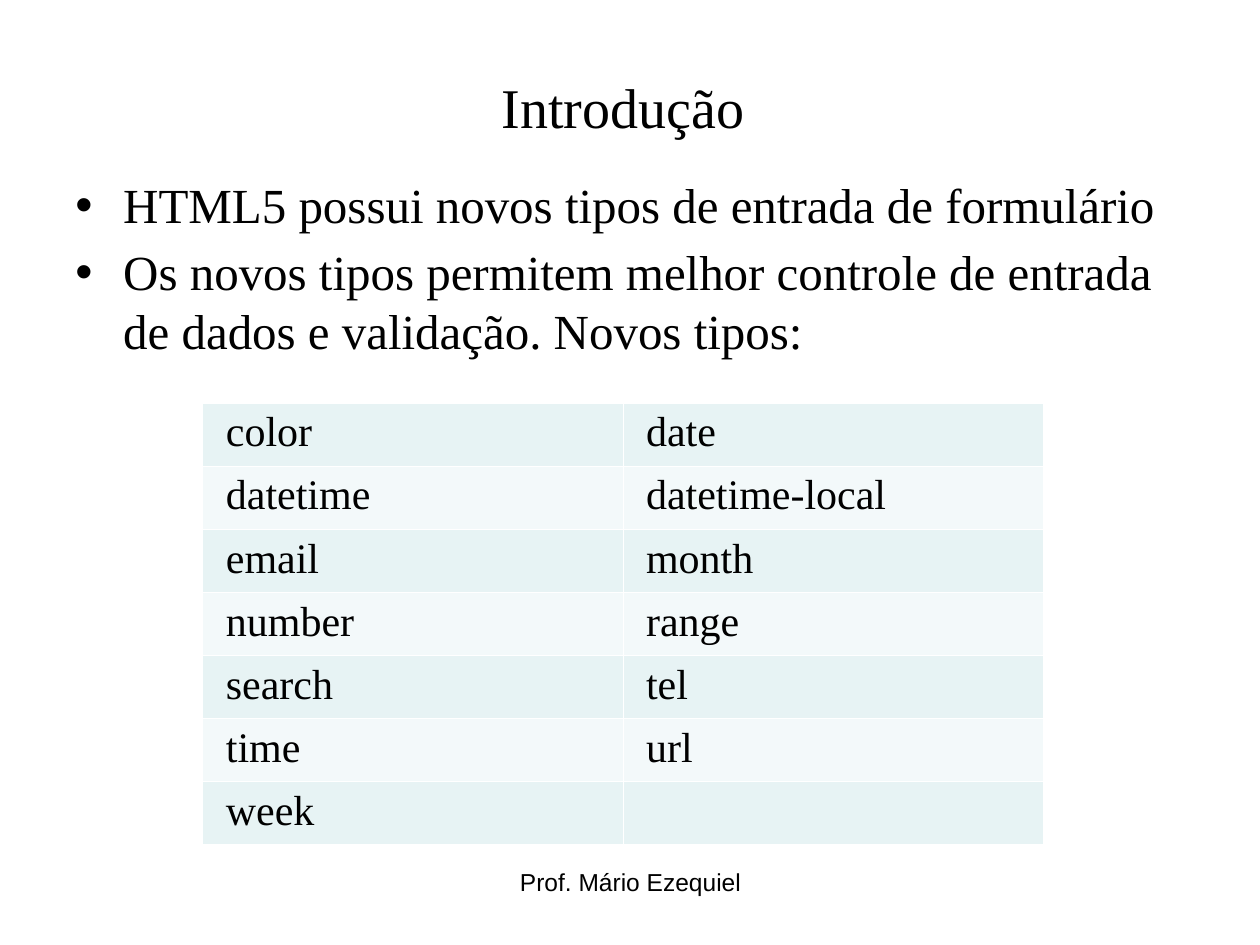
from lxml import etree
from pptx import Presentation
from pptx import util as u
from pptx.dml.color import RGBColor
from pptx.enum import text
from pptx.oxml import ns

BLACK = RGBColor(0x00, 0x00, 0x00)
BAND_DARK = RGBColor(0xE7, 0xF3, 0xF4)
BAND_LIGHT = RGBColor(0xF3, 0xF9, 0xFA)
BORDER = "FFFFFF"
SERIF = "Times New Roman"
SANS = "Arial"

INPUT_TYPES = [
    ("color", "date"),
    ("datetime", "datetime-local"),
    ("email", "month"),
    ("number", "range"),
    ("search", "tel"),
    ("time", "url"),
    ("week", ""),
]


def add_run(paragraph, words, size, font=SERIF):
    run = paragraph.add_run()
    run.text = words
    run.font.size = u.Pt(size)
    run.font.name = font
    run.font.color.rgb = BLACK


def add_frame(slide, left, top, width, height, anchor=text.MSO_ANCHOR.TOP):
    box = slide.shapes.add_textbox(
        u.Inches(left), u.Inches(top), u.Inches(width), u.Inches(height))
    frame = box.text_frame
    frame.word_wrap = True
    frame.vertical_anchor = anchor
    return frame


def add_centred_line(frame, words, size, font):
    line = frame.paragraphs[0]
    line.alignment = text.PP_ALIGN.CENTER
    add_run(line, words, size, font)


def format_bullet(paragraph, space_before):
    paragraph.line_spacing = 0.9
    paragraph.space_before = u.Pt(space_before)
    properties = paragraph._p.get_or_add_pPr()
    properties.set("marL", str(u.Inches(0.38)))
    properties.set("indent", str(-u.Inches(0.38)))
    colour = etree.SubElement(properties, ns.qn("a:buClr"))
    etree.SubElement(colour, ns.qn("a:srgbClr"), val="000000")
    etree.SubElement(properties, ns.qn("a:buFont"), typeface=SANS)
    etree.SubElement(properties, ns.qn("a:buChar"), char="•")


def add_bullets(slide):
    frame = add_frame(slide, 0.5, 1.39, 9, 1.65)
    first = frame.paragraphs[0]
    format_bullet(first, 7)
    add_run(first, "HTML5 possui novos tipos de entrada de formulário", 28)
    second = frame.add_paragraph()
    format_bullet(second, 8)
    add_run(second, "Os novos tipos permitem melhor controle de entrada "
                    "de dados e validação. Novos tipos:", 28)
    add_run(second, " ", 32, SANS)


def format_cell(cell, band):
    properties = cell._tc.get_or_add_tcPr()
    for side in ("lnL", "lnR", "lnT", "lnB"):
        line = etree.SubElement(
            properties, ns.qn(f"a:{side}"), w=str(u.Pt(0.45)))
        fill = etree.SubElement(line, ns.qn("a:solidFill"))
        etree.SubElement(fill, ns.qn("a:srgbClr"), val=BORDER)
    cell.fill.solid()
    cell.fill.fore_color.rgb = band


def add_type_table(slide):
    table = slide.shapes.add_table(
        len(INPUT_TYPES), 2, u.Inches(1.61), u.Inches(3.2),
        u.Inches(6.67), u.Inches(3.5)).table
    table.first_row = False
    table.horz_banding = False
    for row, names in enumerate(INPUT_TYPES):
        band = BAND_LIGHT if row % 2 else BAND_DARK
        for column, name in enumerate(names):
            cell = table.cell(row, column)
            format_cell(cell, band)
            if name:
                add_run(cell.text_frame.paragraphs[0], f" {name}", 24)


def main():
    deck = Presentation()
    deck.slide_width = u.Inches(10)
    deck.slide_height = u.Inches(7.5)
    slide = deck.slides.add_slide(deck.slide_layouts[6])
    title = add_frame(slide, 0.5, 0.3, 9, 1.09, text.MSO_ANCHOR.MIDDLE)
    add_centred_line(title, "Introdução ", 32, SERIF)
    add_bullets(slide)
    footer = add_frame(slide, 3.42, 6.83, 3.17, 0.52)
    add_centred_line(footer, "Prof. Mário Ezequiel", 14, SANS)
    add_type_table(slide)
    deck.save("out.pptx")


if __name__ == "__main__":
    main()
